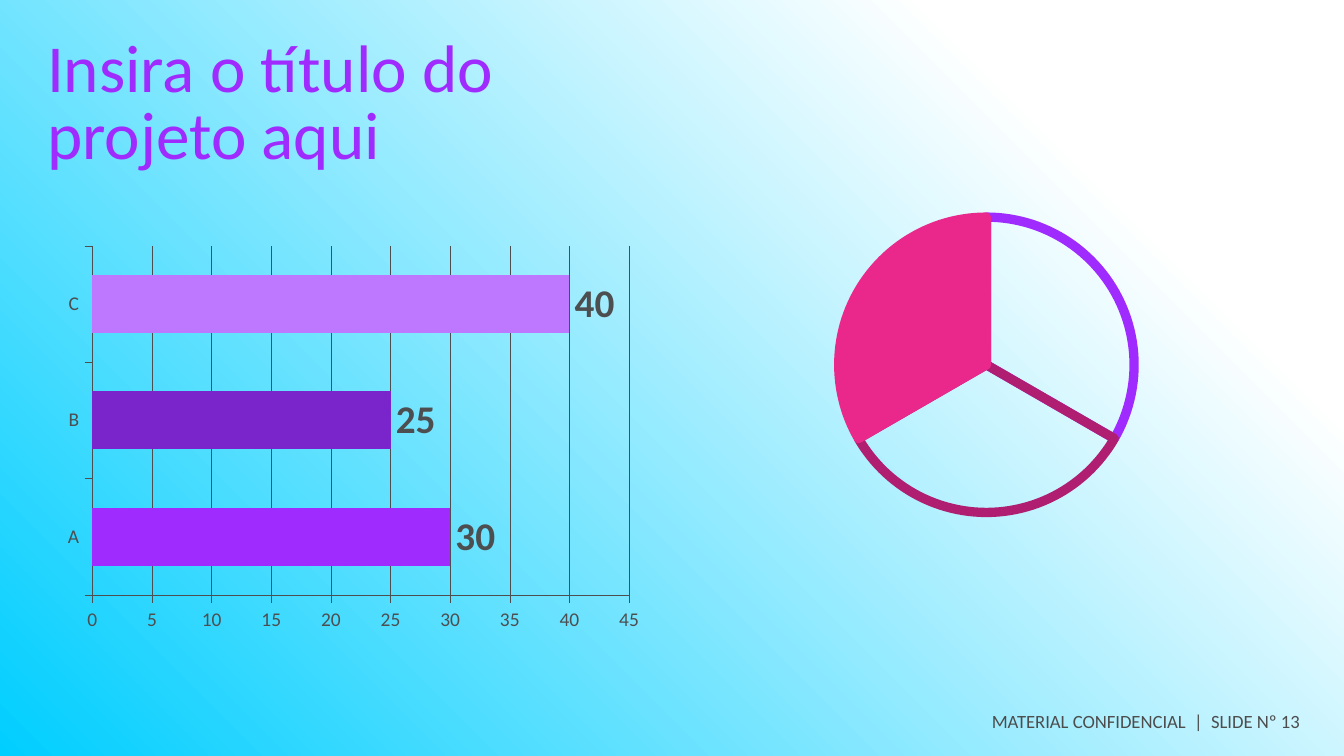
from lxml import etree
from pptx import Presentation
from pptx.chart.data import CategoryChartData
from pptx.dml.color import RGBColor
from pptx.enum.chart import XL_CHART_TYPE, XL_LABEL_POSITION, XL_TICK_MARK
from pptx.enum.text import MSO_ANCHOR, MSO_AUTO_SIZE, PP_ALIGN
from pptx.oxml import parse_xml
from pptx.oxml.ns import nsdecls
from pptx.util import Inches, Pt

PURPLE, DARK_PURPLE, LIGHT_PURPLE = "A02BFF", "7A24CC", "BD78FF"
PINK, DARK_PINK = "EA288C", "B01E72"
GRAY = "4D4E50"


def style_font(font, size, color, bold=False):
    font.name = "Calibri"
    font.size = Pt(size)
    font.bold = bold
    font.color.rgb = RGBColor.from_string(color)


def set_plot_area(chart, x, y, w, h):
    """Fix the inner plot area, in fractions of the chart frame."""
    plot_area = chart.plots[0]._element.getparent()
    for layout in plot_area.findall("{*}layout"):
        plot_area.remove(layout)
    layout = parse_xml(f"<c:layout {nsdecls('c')}><c:manualLayout/></c:layout>")
    settings = [("layoutTarget", "inner"), ("xMode", "edge"), ("yMode", "edge"),
                ("x", x), ("y", y), ("w", w), ("h", h)]
    for tag, value in settings:
        namespace = layout.nsmap["c"]
        etree.SubElement(layout[0], f"{{{namespace}}}{tag}").set("val", str(value))
    plot_area.insert(0, layout)


prs = Presentation()
prs.slide_width = Inches(10)
prs.slide_height = prs.slide_width * 9 // 16
slide = prs.slides.add_slide(prs.slide_layouts[5])

# Background: cyan at the lower left fading to white
background = slide.background.fill
background.gradient()
background.gradient_angle = 45
for stop, (position, color) in zip(background.gradient_stops,
                                   [(0, "00CEFF"), (0.8, "FFFFFF")]):
    stop.position = position
    stop.color.rgb = RGBColor.from_string(color)

# Title and footer
title = slide.shapes.title
title.left, title.top = Inches(0.35), Inches(0.29)
title.width, title.height = Inches(4.16), Inches(1.03)
footer = slide.shapes.add_textbox(Inches(7.38), Inches(5.28), Inches(2.42), Inches(0.19))
for box, text, size, color in [
    (title, "Insira o título do projeto aqui", 36, PURPLE),
    (footer, "MATERIAL CONFIDENCIAL  |  SLIDE Nº 13", 10, "4D4D4D"),
]:
    frame = box.text_frame
    frame.margin_left = frame.margin_right = frame.margin_top = frame.margin_bottom = 0
    frame.word_wrap = True
    frame.auto_size = MSO_AUTO_SIZE.NONE
    frame.vertical_anchor = MSO_ANCHOR.TOP
    paragraph = frame.paragraphs[0]
    paragraph.alignment = PP_ALIGN.LEFT
    run = paragraph.add_run()
    run.text = text
    style_font(run.font, size, color)
title.text_frame.paragraphs[0].line_spacing = Pt(36)

# Bar chart
bar_data = CategoryChartData()
bar_data.categories = ["A", "B", "C"]
bar_data.add_series("Series 1", [30, 25, 40])
bars = slide.shapes.add_chart(XL_CHART_TYPE.BAR_CLUSTERED, Inches(0.15), Inches(1.69),
                              Inches(4.98), Inches(3.1), bar_data).chart
bars.has_legend = bars.has_title = False
style_font(bars.font, 10.4, GRAY)
set_plot_area(bars, 0.108, 0.045, 0.802, 0.838)

bar_plot = bars.plots[0]
bar_plot.gap_width = 100
bar_plot.vary_by_categories = False
bar_plot.has_data_labels = True
labels = bar_plot.data_labels
labels.show_value = True
labels.position = XL_LABEL_POSITION.OUTSIDE_END
style_font(labels.font, 21, GRAY, bold=True)
for index, color in enumerate([PURPLE, DARK_PURPLE, LIGHT_PURPLE]):
    fill = bar_plot.series[0].points[index].format.fill
    fill.solid()
    fill.fore_color.rgb = RGBColor.from_string(color)

value_axis = bars.value_axis
value_axis.minimum_scale, value_axis.maximum_scale, value_axis.major_unit = 0, 45, 5
value_axis.has_major_gridlines = True
for axis in (bars.category_axis, value_axis):
    axis.major_tick_mark = XL_TICK_MARK.OUTSIDE
    style_font(axis.tick_labels.font, 10.4, GRAY)
for line in (bars.category_axis.format.line, value_axis.format.line,
             value_axis.major_gridlines.format.line):
    line.width = Pt(0.25)
    line.color.rgb = RGBColor.from_string(GRAY)

# Pie chart: one filled slice, two outlined ones
pie_data = CategoryChartData()
pie_data.categories = ["1", "2", "3"]
pie_data.add_series("Series 1", [33, 33, 33])
pie = slide.shapes.add_chart(XL_CHART_TYPE.PIE, Inches(5.4), Inches(1.48),
                             Inches(3.88), Inches(2.47), pie_data).chart
pie.has_legend = pie.has_title = False
style_font(pie.font, 18, "FFFFFF")
set_plot_area(pie, 0.21, 0.055, 0.58, 0.89)
pie.plots[0].vary_by_categories = False
for index, (color, filled) in enumerate([(PURPLE, False), (DARK_PINK, False), (PINK, True)]):
    slice_format = pie.plots[0].series[0].points[index].format
    if filled:
        slice_format.fill.solid()
        slice_format.fill.fore_color.rgb = RGBColor.from_string(color)
    else:
        slice_format.fill.background()
    slice_format.line.width = Pt(5)
    slice_format.line.color.rgb = RGBColor.from_string(color)

prs.save("out.pptx")
